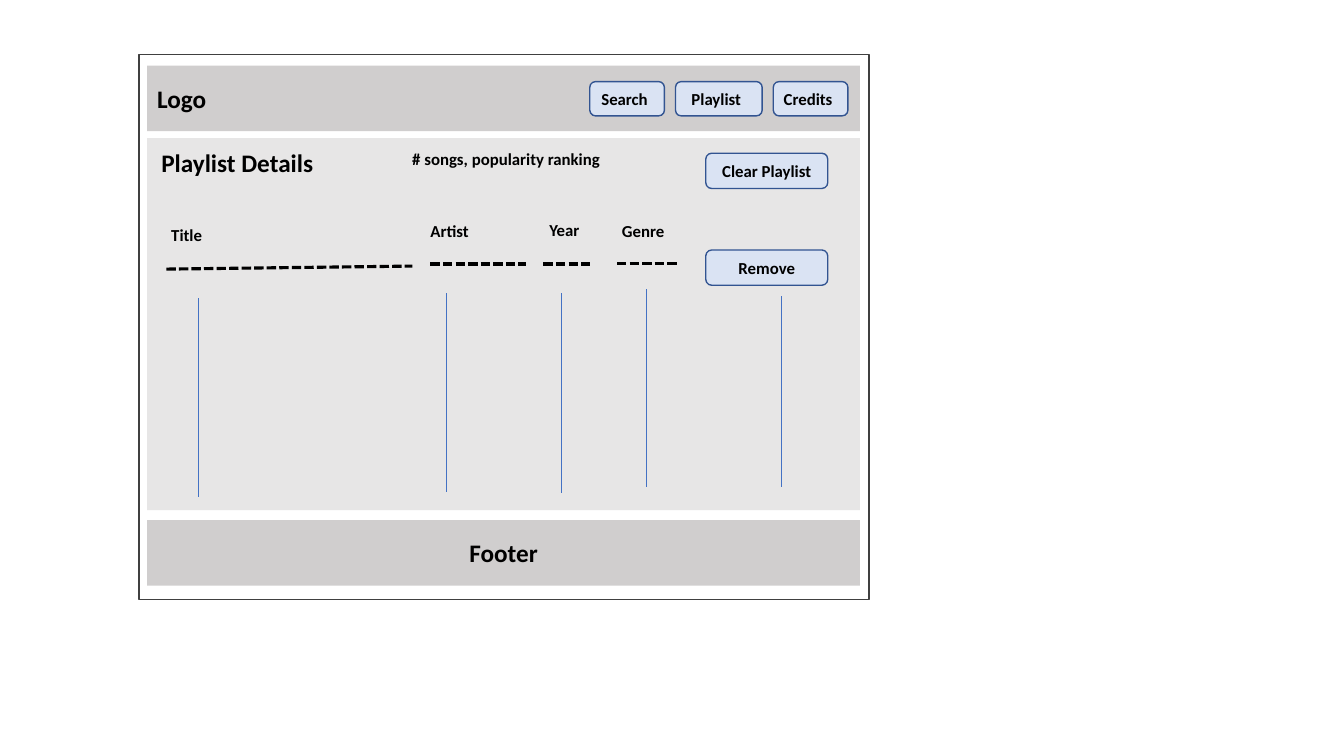
from lxml.etree import SubElement
from pptx import Presentation
from pptx.dml.color import RGBColor
from pptx.enum.dml import MSO_LINE
from pptx.enum.shapes import MSO_CONNECTOR, MSO_SHAPE
from pptx.enum.text import MSO_ANCHOR, MSO_AUTO_SIZE, PP_ALIGN
from pptx.oxml.ns import qn
from pptx.util import Inches, Pt

COLORS = {
    "frame": "404040", "band": "D0CECE", "panel": "E7E6E6",
    "button": "DAE3F3", "button_edge": "325491",
    "rule": "4472C4", "text": "000000",
}
FONT = "Calibri"

# Content: boxes are (left, top, width, height) in inches
FRAME = (1.38, 0.54, 7.24, 5.41)
PANEL = (1.46, 1.37, 7.07, 3.69)
BANDS = [("Logo", 0.65, PP_ALIGN.LEFT), ("Footer", 5.16, PP_ALIGN.CENTER)]
BAND_HEIGHT = 0.65
HEADING = ("Playlist Details", (1.5, 1.41, 1.72, 0.4))
SUMMARY = ("# songs, popularity ranking", (3.99, 1.43, 2.2, 0.3))

# Navigation labels sit slightly left of centre, set by the extra right inset
NAV_BUTTONS = [("Search", 5.85, 0.74), ("Playlist", 6.7, 0.86), ("Credits", 7.67, 0.74)]
NAV_TOP, NAV_HEIGHT, NAV_INSET = 0.81, 0.34, 0.05
ACTION_BUTTONS = [("Clear Playlist", 1.52), ("Remove", 2.48)]
ACTION_LEFT, ACTION_WIDTH, ACTION_HEIGHT = 7, 1.21, 0.35

# Column label, its box, and the two ends of the dashed underline
COLUMNS = [
    ("Title", (1.6, 2.18, 1.05, 0.3), (1.65, 2.67, 4.09, 2.64)),
    ("Artist", (4.17, 2.14, 1.05, 0.3), (4.27, 2.62, 5.22, 2.62)),
    ("Year", (5.35, 2.13, 0.66, 0.3), (5.39, 2.62, 5.85, 2.62)),
    ("Genre", (6.07, 2.14, 0.66, 0.3), (6.12, 2.61, 6.73, 2.61)),
]
# Vertical rules as (x, top, bottom)
COLUMN_RULES = [(1.97, 2.96, 4.93), (4.43, 2.91, 4.88), (5.57, 2.91, 4.89),
                (6.41, 2.87, 4.83), (7.75, 2.94, 4.83)]


def color(name):
    return RGBColor.from_string(COLORS[name])


def write(shape, text, size=12, align=PP_ALIGN.LEFT, anchor=MSO_ANCHOR.TOP, wrap=True):
    frame = shape.text_frame
    frame.word_wrap = wrap
    frame.auto_size = MSO_AUTO_SIZE.NONE
    frame.vertical_anchor = anchor
    para = frame.paragraphs[0]
    para.alignment = align
    span = para.add_run()
    span.text = text
    span.font.name = FONT
    span.font.size = Pt(size)
    span.font.bold = True
    span.font.color.rgb = color("text")


def add_box(page, box, fill=None, edge=None, kind=MSO_SHAPE.RECTANGLE):
    shape = page.shapes.add_shape(kind, *map(Inches, box))
    shape.shadow.inherit = False
    if fill:
        shape.fill.solid()
        shape.fill.fore_color.rgb = color(fill)
    else:
        shape.fill.background()
    if edge:
        shape.line.color.rgb = color(edge)
        shape.line.width = Pt(1)
    else:
        shape.line.fill.background()
    return shape


def add_button(page, text, box, right_inset=0):
    button = add_box(page, box, "button", "button_edge", MSO_SHAPE.ROUNDED_RECTANGLE)
    write(button, text, align=PP_ALIGN.CENTER, anchor=MSO_ANCHOR.MIDDLE)
    frame = button.text_frame
    frame.margin_left = frame.margin_top = frame.margin_bottom = 0
    frame.margin_right = Inches(right_inset)


def add_label(page, text, box):
    write(page.shapes.add_textbox(*map(Inches, box)), text)


def add_line(page, ends, name, width, dash=None):
    line = page.shapes.add_connector(MSO_CONNECTOR.STRAIGHT, *map(Inches, ends))
    line.line.color.rgb = color(name)
    line.line.width = Pt(width)
    if dash:
        line.line.dash_style = dash
    SubElement(line._element.spPr, qn("a:effectLst"))


def main():
    deck = Presentation()
    deck.slide_width, deck.slide_height = Inches(13.33), Inches(7.5)
    page = deck.slides.add_slide(deck.slide_layouts[5])

    # Page frame, header and footer bands, main panel
    add_box(page, FRAME, edge="frame")
    left, _, width, _ = PANEL
    for text, top, align in BANDS:
        band = add_box(page, (left, top, width, BAND_HEIGHT), "band")
        write(band, text, size=18, align=align, anchor=MSO_ANCHOR.MIDDLE)
    panel = add_box(page, PANEL, "panel")

    # Heading, raised in front of the panel
    text, box = HEADING
    title = page.shapes.title
    title.left, title.top, title.width, title.height = map(Inches, box)
    write(title, text, size=18, wrap=False)
    panel._element.addnext(title._element)
    add_label(page, *SUMMARY)

    # Buttons
    for text, x, size in NAV_BUTTONS:
        add_button(page, text, (x, NAV_TOP, size, NAV_HEIGHT), NAV_INSET)
    for text, top in ACTION_BUTTONS:
        add_button(page, text, (ACTION_LEFT, top, ACTION_WIDTH, ACTION_HEIGHT))

    # Song columns
    for text, box, underline in COLUMNS:
        add_label(page, text, box)
        add_line(page, underline, "text", 2.25, MSO_LINE.SQUARE_DOT)
    for x, top, bottom in COLUMN_RULES:
        add_line(page, (x, top, x, bottom), "rule", 0.5)

    deck.save("out.pptx")


if __name__ == "__main__":
    main()
